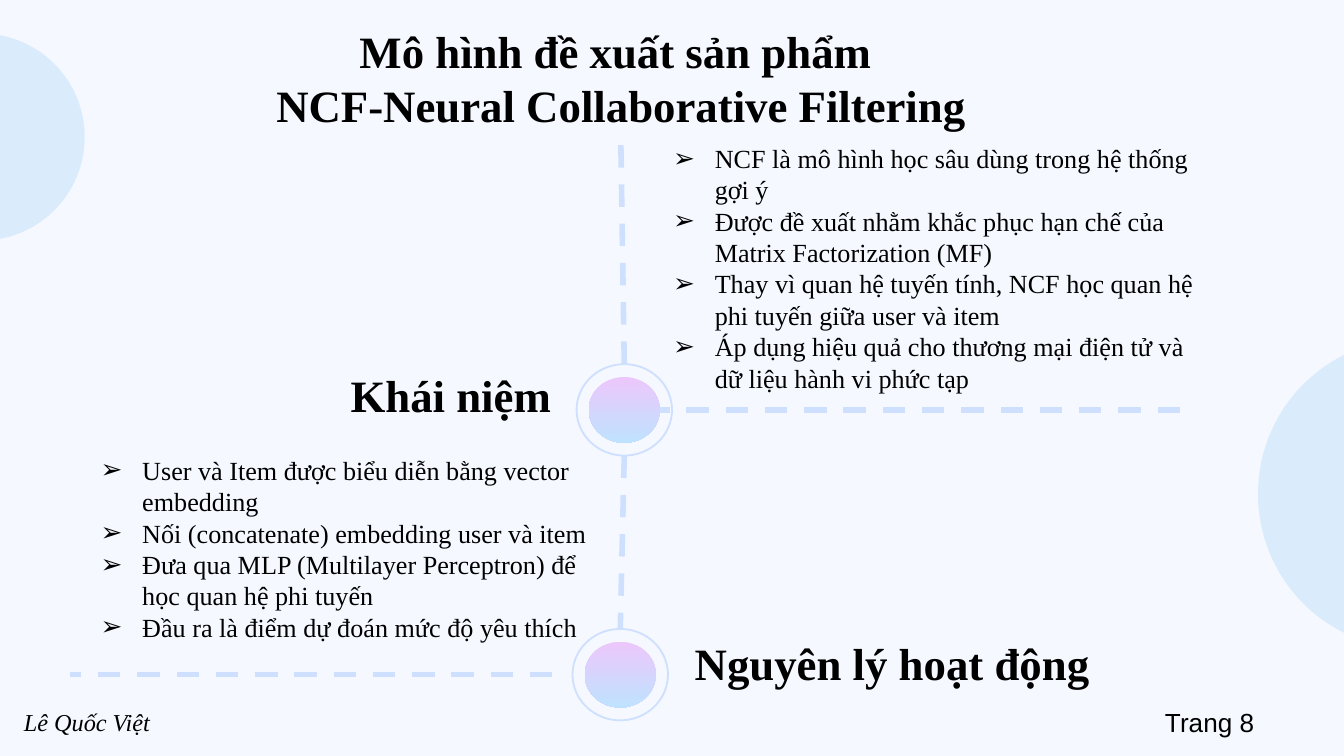
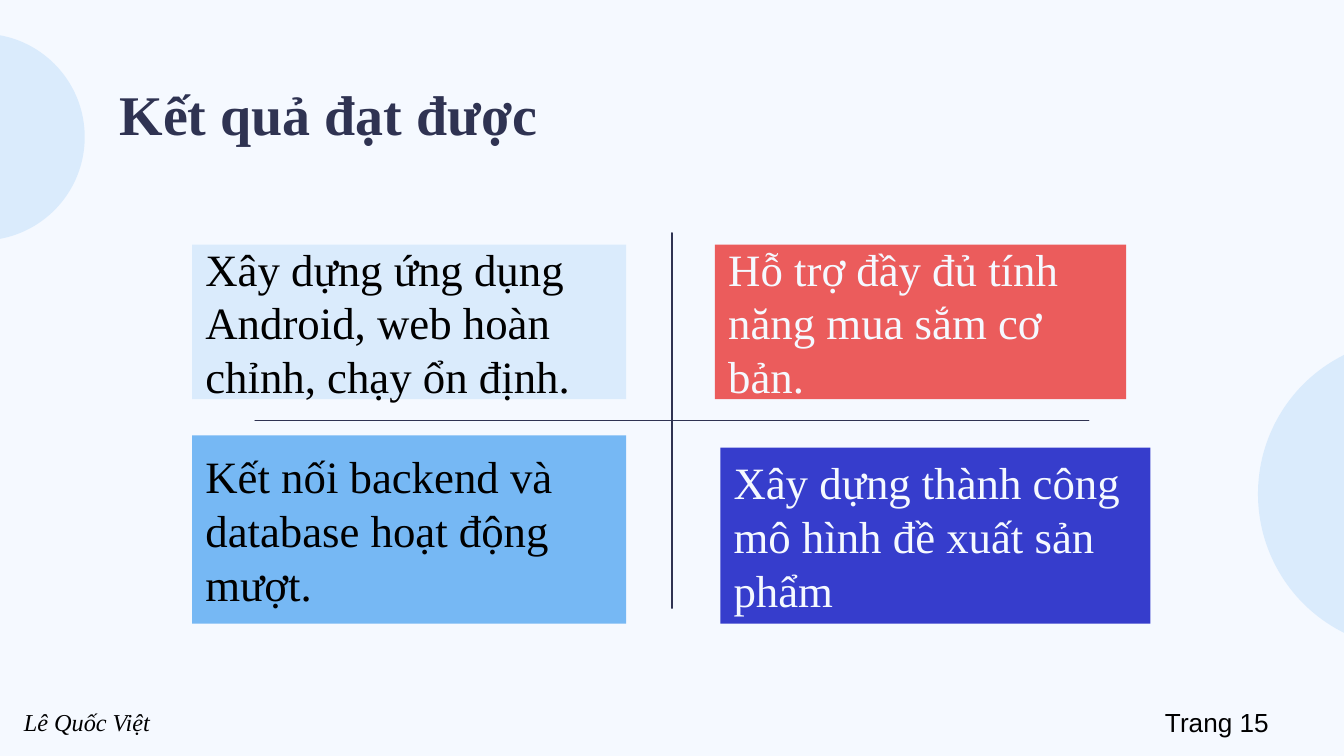
import pptx
import pptx.util
import pptx.dml.color
import pptx.enum.dml
import pptx.enum.shapes
import pptx.enum.text
import pptx.oxml
import pptx.oxml.ns
from lxml import etree

Inches = pptx.util.Inches
RGBColor = pptx.dml.color.RGBColor
SHAPE = pptx.enum.shapes.MSO_SHAPE
ALIGN = pptx.enum.text.PP_ALIGN
ANCHOR = pptx.enum.text.MSO_ANCHOR
FIT = pptx.enum.text.MSO_AUTO_SIZE

PAPER = RGBColor(0xF5, 0xF9, 0xFF)
BLACK = RGBColor(0x00, 0x00, 0x00)
NAVY = RGBColor(0x2F, 0x33, 0x52)
SKY = RGBColor(0x76, 0xB8, 0xF4)
PALE = RGBColor(0xCF, 0xE0, 0xFE)
PINK = RGBColor(0xEC, 0xC7, 0xFC)
ICE = RGBColor(0xBF, 0xE2, 0xFE)
INDIGO = RGBColor(0x36, 0x3D, 0xCC)
CORAL = RGBColor(0xEB, 0x5C, 0x5C)
SERIF = "Times New Roman"
VEIL = 21

AUTHOR = "Lê Quốc Việt"
BUBBLES = [(9.36, 2.52, 2.31, 2.31), (-0.91, 0.25, 1.54, 1.54)]

BODY = {"name": SERIF, "size": 14, "color": BLACK}
HEADING = {"name": SERIF, "size": 24, "color": BLACK, "bold": True}
TITLE = {"name": SERIF, "size": 30, "color": NAVY, "bold": True}
PAGE_NUMBER = {"name": "Arial", "size": 14, "color": BLACK}
SIGNATURE = {"name": SERIF, "size": 13, "color": BLACK, "italic": True}

MODEL_TITLE = ["Mô hình đề xuất sản phẩm ", "NCF-Neural Collaborative Filtering"]
RING_SIZE = (0.71, 0.68)
DISC_SIZE = (0.53, 0.49)
TOPICS = [
    {
        "heading": "Khái niệm",
        "heading_at": (2.51, 2.69, 2.11, 0.52),
        "ring": (4.29, 2.71),
        "branch": ((8.78, 3.05), (4.91, 3.05)),
        "points_at": (4.91, 1.01, 4.21, 1.99),
        "points": [
            "NCF là mô hình học sâu dùng trong hệ thống gợi ý",
            "Được đề xuất nhằm khắc phục hạn chế của Matrix Factorization (MF)",
            "Thay vì quan hệ tuyến tính, NCF học quan hệ phi tuyến giữa user và item",
            "Áp dụng hiệu quả cho thương mại điện tử và dữ liệu hành vi phức tạp",
        ],
    },
    {
        "heading": "Nguyên lý hoạt động",
        "heading_at": (5.07, 4.68, 2.11, 0.52),
        "ring": (4.26, 4.68),
        "branch": ((4.11, 5.02), (0.52, 5.02)),
        "points_at": (0.65, 3.33, 3.89, 1.51),
        "points": [
            "User và Item được biểu diễn bằng vector embedding",
            "Nối (concatenate) embedding user và item",
            "Đưa qua MLP (Multilayer Perceptron) để học quan hệ phi tuyến",
            "Đầu ra là điểm dự đoán mức độ yêu thích",
        ],
    },
]

RESULTS_TITLE = ["Kết quả đạt được"]
RESULTS = [
    ("Xây dựng ứng dụng Android, web hoàn chỉnh, chạy ổn định.",
     (1.43, 1.82, 3.23, 1.15), SKY, VEIL, BLACK),
    ("Kết nối backend và database hoạt động mượt.",
     (1.43, 3.24, 3.23, 1.4), SKY, None, BLACK),
    ("Xây dựng thành công mô hình đề xuất sản phẩm",
     (5.36, 3.33, 3.2, 1.31), INDIGO, None, PAPER),
    ("Hỗ trợ đầy đủ tính năng mua sắm cơ bản.",
     (5.32, 1.82, 3.06, 1.15), CORAL, None, PAPER),
]


def lengths(values):
    return [Inches(value) for value in values]


def set_font(font, style):
    for key, value in style.items():
        if key == "color":
            font.color.rgb = value
        else:
            setattr(font, key, pptx.util.Pt(value) if key == "size" else value)


def add_bullet(para):
    props = para._p.get_or_add_pPr()
    props.set("marL", str(Inches(0.31)))
    props.set("indent", str(-Inches(0.31)))
    color = etree.SubElement(props, pptx.oxml.ns.qn("a:buClr"))
    etree.SubElement(color, pptx.oxml.ns.qn("a:srgbClr"), val=str(BLACK))
    etree.SubElement(props, pptx.oxml.ns.qn("a:buFont"), typeface="Arial")
    etree.SubElement(props, pptx.oxml.ns.qn("a:buChar"), char="➢")


def write(frame, lines, style, align=ALIGN.LEFT, anchor=ANCHOR.TOP,
          fit=FIT.NONE, wrap=True, inset=None, bullets=False):
    frame.word_wrap = wrap
    frame.auto_size = fit
    frame.vertical_anchor = anchor
    if inset is not None:
        for side in ("left", "top", "right", "bottom"):
            setattr(frame, "margin_" + side, Inches(inset))
    for index, line in enumerate(lines):
        para = frame.add_paragraph() if index else frame.paragraphs[0]
        para.alignment = align
        if bullets:
            add_bullet(para)
        span = para.add_run()
        span.text = line
        set_font(span.font, style)


def add_text(page, at, lines, style, **layout):
    box = page.shapes.add_textbox(*lengths(at))
    write(box.text_frame, lines, style, **layout)


def add_figure(page, kind, at, fill=None, alpha=None, line=None, width=1):
    figure = page.shapes.add_shape(kind, *lengths(at))
    figure.shadow.inherit = False
    if fill is None:
        figure.fill.background()
    else:
        figure.fill.solid()
        figure.fill.fore_color.rgb = fill
    if alpha is not None:
        color = figure.fill._xPr.find(".//" + pptx.oxml.ns.qn("a:srgbClr"))
        etree.SubElement(color, pptx.oxml.ns.qn("a:alpha"), val=str(alpha * 1000))
    if line is None:
        figure.line.fill.background()
    else:
        figure.line.color.rgb = line
        figure.line.width = pptx.util.Pt(width)
    return figure


def add_dashes(page, start, end):
    dashes = page.shapes.add_connector(
        pptx.enum.shapes.MSO_CONNECTOR.STRAIGHT, *lengths(start + end))
    dashes.line.color.rgb = PALE
    dashes.line.width = pptx.util.Pt(3)
    dashes.line.dash_style = pptx.enum.dml.MSO_LINE.DASH
    etree.SubElement(dashes._element.spPr, pptx.oxml.ns.qn("a:effectLst"))
    return dashes


def add_page(deck, number, title, title_at, style, **layout):
    page = deck.slides.add_slide(deck.slide_layouts[5])
    page.background.fill.solid()
    page.background.fill.fore_color.rgb = PAPER
    add_text(page, (8.57, 5.21, 1.2, 0.34), [f"Trang {number}"], PAGE_NUMBER,
             fit=FIT.SHAPE_TO_FIT_TEXT)
    add_text(page, (0.08, 5.21, 1.99, 0.32), [AUTHOR], SIGNATURE,
             fit=FIT.SHAPE_TO_FIT_TEXT)
    for at in BUBBLES:
        add_figure(page, SHAPE.OVAL, at, fill=SKY, alpha=VEIL)
    heading = page.shapes.title
    for key, value in zip(("left", "top", "width", "height"), lengths(title_at)):
        setattr(heading, key, value)
    write(heading.text_frame, title, style, **layout)
    return page


def add_node(page, left, top):
    ring = add_figure(page, SHAPE.OVAL, (left, top) + RING_SIZE, line=PALE)
    inset_x, inset_y = [(outer - inner) / 2 for outer, inner in zip(RING_SIZE, DISC_SIZE)]
    disc = add_figure(page, SHAPE.OVAL, (left + inset_x, top + inset_y) + DISC_SIZE)
    disc.fill.gradient()
    disc.fill.gradient_angle = 270
    for stop, color, position in zip(disc.fill.gradient_stops, (PINK, ICE), (0, 1)):
        stop.color.rgb = color
        stop.position = position
    return ring


def build_model(deck):
    page = add_page(deck, 8, MODEL_TITLE, (0.39, 0.13, 8.46, 0.95), HEADING,
                    align=ALIGN.CENTER)
    trunk_start = (4.62, 1.08)
    for index, topic in enumerate(TOPICS):
        left, top = topic["ring"]
        middle = left + RING_SIZE[0] / 2
        trunk = add_dashes(page, trunk_start, (middle, top))
        add_dashes(page, *topic["branch"])
        ring = add_node(page, left, top)
        if index == 0:
            trunk.begin_connect(page.shapes.title, 2)
        trunk.end_connect(ring, 0)
        trunk_start = (middle, top + RING_SIZE[1])
        add_text(page, topic["heading_at"], [topic["heading"]], HEADING, wrap=False)
        add_text(page, topic["points_at"], topic["points"], BODY,
                 fit=FIT.SHAPE_TO_FIT_TEXT, bullets=True)


def build_results(deck):
    page = add_page(deck, 15, RESULTS_TITLE, (0.79, 0.49, 8.43, 0.63), TITLE, inset=0.1)
    cross = add_figure(page, SHAPE.MATH_PLUS, (0.78, 1.23, 8.44, 3.8),
                       line=NAVY, width=0.75)
    cross.adjustments[0] = 0
    for text, at, fill, alpha, color in RESULTS:
        card = add_figure(page, SHAPE.RECTANGLE, at, fill=fill, alpha=alpha)
        write(card.text_frame, [text], {"name": SERIF, "size": 24, "color": color},
              anchor=ANCHOR.MIDDLE, inset=0.1)


def main():
    deck = pptx.Presentation()
    deck.slide_width = Inches(10)
    deck.slide_height = deck.slide_width * 9 // 16
    build_model(deck)
    build_results(deck)
    deck.save("out.pptx")


if __name__ == "__main__":
    main()
